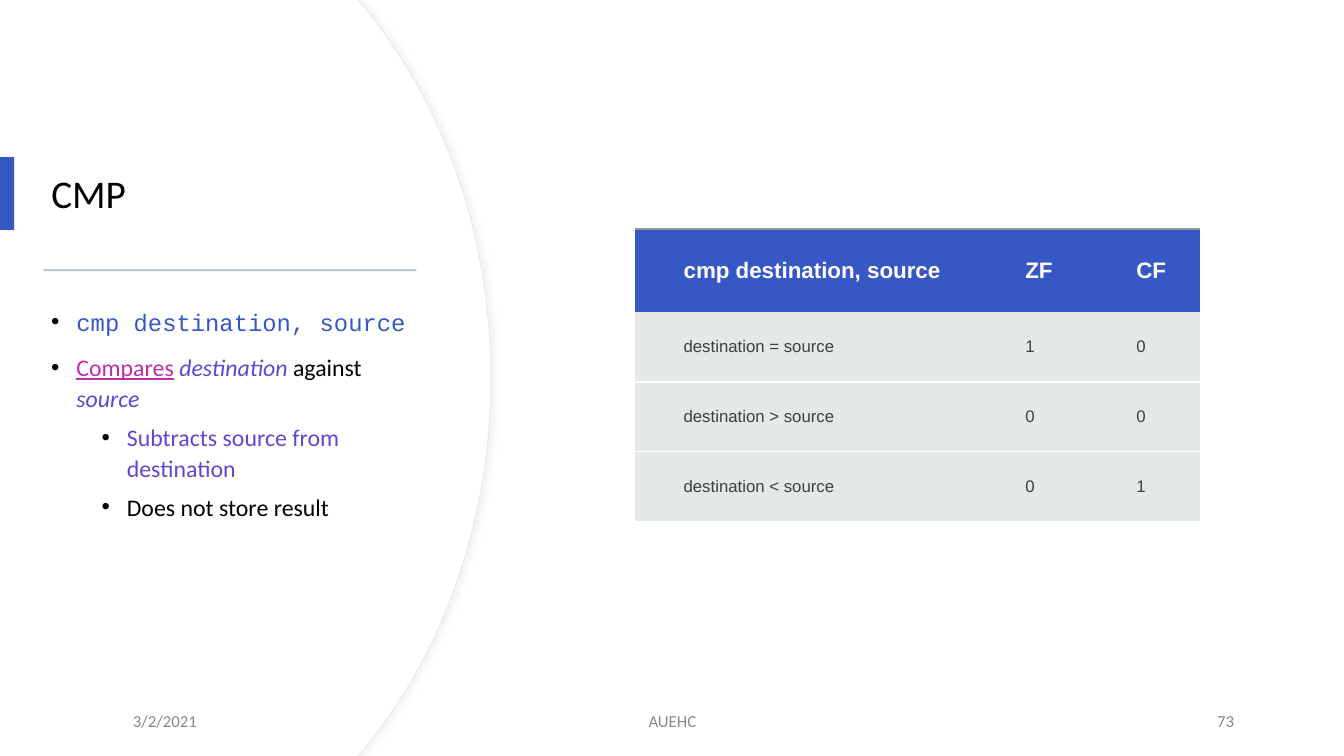
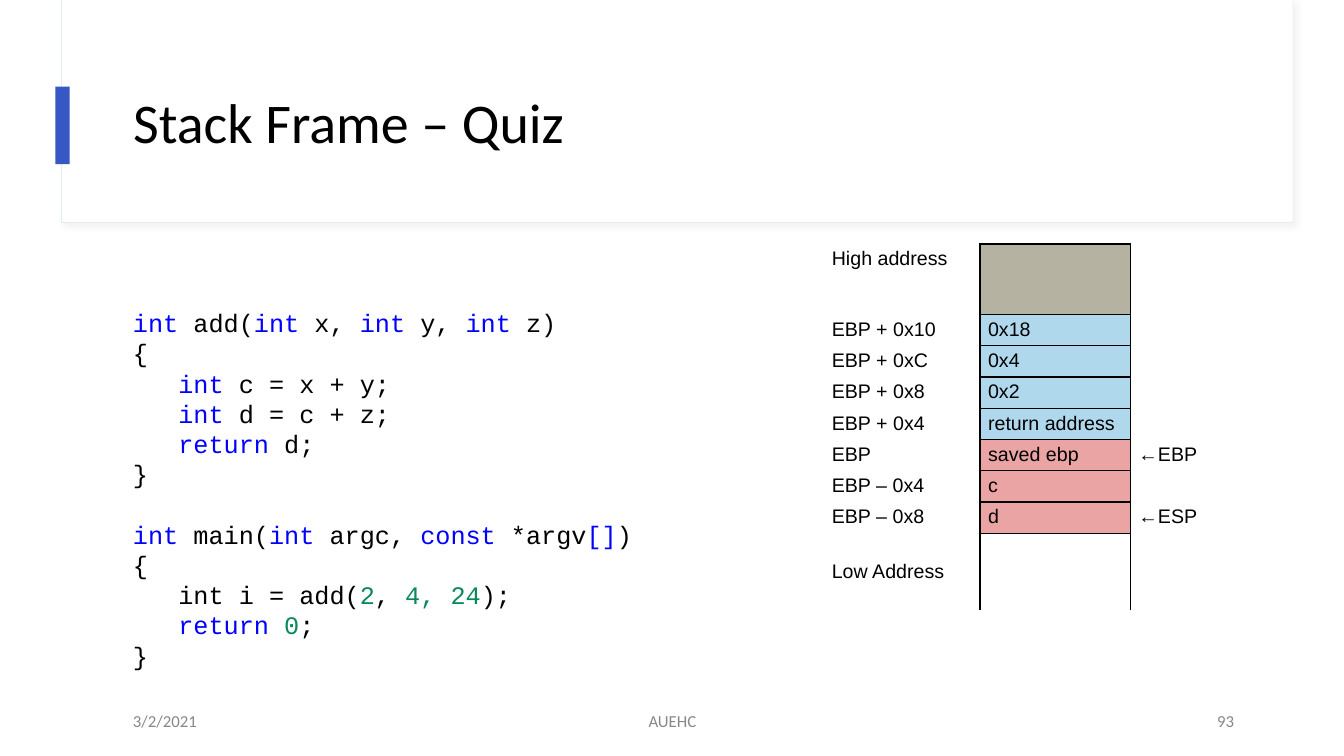
"""Build two slides on the CMP instruction and a stack frame quiz."""
from lxml import etree
from pptx import Presentation
from pptx import util as u
from pptx.dml import color
from pptx.enum import shapes, text
from pptx.oxml.ns import qn

BLACK, WHITE, BLUE = "000000", "FFFFFF", "3758C4"
VIOLET, PINK, GRAY = "6146D4", "C12CA8", "888888"
KEYWORD, NUMBER = "0000FF", "09885A"
CELL_GRAY, DARK, RULE = "E5E8E8", "3F3F3F", "8F9A9D"
STONE, SKY, ROSE = "B5B2A2", "B0D8EC", "EBA4A4"
PLAIN_TABLE = "{2D5ABB26-0587-4C30-8999-92F81FD0307C}"

CODE = [
    "|int| add(|int| x, |int| y, |int| z)",
    "{",
    "   |int| c = x + y;",
    "   |int| d = c + z;",
    "   |return| d;",
    "}",
    "|int| main(|int| argc, |const| *argv|[]|)",
    "{",
    "   int i = add(|2|, |4, 24|);",
    "   |return| |0|;",
    "}",
]
COMPARISONS = [
    ("cmp destination, source", "ZF", "CF"),
    ("destination = source", "1", "0"),
    ("destination > source", "0", "0"),
    ("destination < source", "0", "1"),
]
HIGH = ("High address", "", "", STONE)
WORDS = [
    ("EBP + 0x10", "0x18", "", SKY),
    ("EBP + 0xC", "0x4", "", SKY),
    ("EBP + 0x8", "0x2", "", SKY),
    ("EBP + 0x4", "return address", "", SKY),
    ("EBP", "saved ebp", "←EBP", ROSE),
    ("EBP – 0x4", "c", "", ROSE),
]
LOW = [("EBP – 0x8", "d", "←ESP", ROSE), ("Low Address", "", "", None)]


def rgb(value):
    """Turn a hex string into a colour."""
    return color.RGBColor.from_string(value)


def write(paragraph, words, size=17, font="Calibri", ink=BLACK, **flags):
    """Add a formatted run; flags are bold, italic or underline."""
    run = paragraph.add_run()
    run.text = words
    run.font.size, run.font.name = u.Pt(size), font
    run.font.color.rgb = rgb(ink)
    for name, value in flags.items():
        setattr(run.font, name, value)


def set_frame(frame, anchor=text.MSO_ANCHOR.TOP):
    """Give a text frame wrapping, insets and an anchor."""
    frame.word_wrap = True
    frame.auto_size = text.MSO_AUTO_SIZE.NONE
    frame.vertical_anchor = anchor
    frame.margin_left = frame.margin_right = u.Inches(0.1)
    frame.margin_top = frame.margin_bottom = u.Inches(0.05)


def next_paragraph(frame, index):
    """Return the first paragraph of a frame, or a new one."""
    return frame.add_paragraph() if index else frame.paragraphs[0]


def fill_white(shape):
    """Make a shape plain white."""
    shape.shadow.inherit = False
    shape.fill.solid()
    shape.fill.fore_color.rgb = rgb(WHITE)
    shape.line.fill.background()


def raise_panel(shape, angle):
    """Give a white panel a thin outline and a soft shadow."""
    fill_white(shape)
    shape.line.color.rgb = rgb("E3ECF1")
    shape.line.width = u.Pt(0.75)
    effects = shape._element.spPr.find(qn("a:effectLst"))
    shadow = etree.SubElement(
        effects, qn("a:outerShdw"), blurRad=str(u.Pt(4)), dist=str(u.Pt(3)),
        dir=str(angle * 60000), algn="tl", rotWithShape="0")
    tone = etree.SubElement(shadow, qn("a:srgbClr"), val="D8D8D8")
    etree.SubElement(tone, qn("a:alpha"), val="30000")


class Deck:
    """Hold the shared style and the current slide."""

    def __init__(self):
        """Start a widescreen presentation."""
        self.presentation = Presentation()
        self.presentation.slide_width = u.Inches(13.33)
        self.presentation.slide_height = u.Inches(7.5)
        self.slide = None

    def start(self):
        """Add a slide with the band across the top."""
        layout = self.presentation.slide_layouts[5]
        self.slide = self.presentation.slides.add_slide(layout)
        raise_panel(self.bar(0.61, 0, 12.21, 2.21), 45)
        self.bar(0.62, 0, 12.2, 2.2, WHITE)

    def footer(self, number):
        """Add the date, the course and the slide number."""
        align = text.PP_ALIGN
        for left, width, words, side in (
            (1.22, 3, "3/2/2021", align.LEFT),
            (4.42, 4.5, "AUEHC", align.CENTER),
            (9.34, 3, str(number), align.RIGHT),
        ):
            frame = self.box(left, 6.95, width, 0.4, text.MSO_ANCHOR.MIDDLE)
            frame.paragraphs[0].alignment = side
            write(frame.paragraphs[0], words, 12, ink=GRAY)

    def title(self, words, left, top, width, height, size):
        """Place and format the title placeholder above the panels."""
        shape = self.slide.shapes.title
        self.slide.shapes._spTree.append(shape._element)
        shape.left, shape.top = u.Inches(left), u.Inches(top)
        shape.width, shape.height = u.Inches(width), u.Inches(height)
        set_frame(shape.text_frame, text.MSO_ANCHOR.MIDDLE)
        paragraph = shape.text_frame.paragraphs[0]
        paragraph.alignment = text.PP_ALIGN.LEFT
        paragraph.line_spacing = 0.9
        write(paragraph, words, size)

    def box(self, left, top, width, height, anchor=text.MSO_ANCHOR.TOP):
        """Add a text box and return its frame."""
        place = map(u.Inches, (left, top, width, height))
        frame = self.slide.shapes.add_textbox(*place).text_frame
        set_frame(frame, anchor)
        return frame

    def bar(self, left, top, width, height, fill=BLUE):
        """Add a plain filled rectangle."""
        place = map(u.Inches, (left, top, width, height))
        shape = self.slide.shapes.add_shape(shapes.MSO_SHAPE.RECTANGLE, *place)
        fill_white(shape)
        shape.fill.fore_color.rgb = rgb(fill)
        return shape

    def arc(self, reach):
        """Add a left panel whose curved right edge ends at reach."""
        controls = ((reach - 1.25, 0.08), (reach - 0.48, 1.02),
                    (reach, 2.32), (reach, 3.75))
        weights = (1, 3, 3, 1)
        steps = 24
        upper = [(reach - 1.32, 0)]
        for step in range(steps + 1):
            t = step / steps
            parts = [w * (1 - t) ** (3 - i) * t ** i for i, w in enumerate(weights)]
            upper.append(tuple(
                sum(part * point[axis] for part, point in zip(parts, controls))
                for axis in (0, 1)))
        lower = [(x, 7.5 - y) for x, y in reversed(upper[:-1])]
        outline = [(u.Inches(x), u.Inches(y)) for x, y in upper + lower + [(0, 7.5)]]
        builder = self.slide.shapes.build_freeform(0, 0)
        builder.add_line_segments(outline, close=True)
        return builder.convert_to_shape()

    def bullets(self, items, left, top, width, height):
        """Add bulleted paragraphs from (level, runs) pairs."""
        frame = self.box(left, top, width, height)
        for index, (level, runs) in enumerate(items):
            paragraph = next_paragraph(frame, index)
            paragraph.level = level
            paragraph.line_spacing = 1.1
            if index:
                paragraph.space_before = u.Pt(5 if level else 10)
            properties = paragraph._p.get_or_add_pPr()
            properties.set("marL", str(u.Inches(0.25 + 0.5 * level)))
            properties.set("indent", str(u.Inches(-0.25)))
            tone = etree.SubElement(properties, qn("a:buClr"))
            etree.SubElement(tone, qn("a:srgbClr"), val=BLACK)
            etree.SubElement(properties, qn("a:buFont"), typeface="Arial")
            etree.SubElement(properties, qn("a:buChar"), char="•")
            for words, style in runs:
                write(paragraph, words, **style)

    def code(self, lines, left, top, width, height):
        """Add code in which every second piece between bars is coloured."""
        frame = self.box(left, top, width, height)
        for index, line in enumerate(lines):
            paragraph = next_paragraph(frame, index)
            if index and lines[index - 1] == "}":
                paragraph.space_before = u.Pt(21.6)
            for place, piece in enumerate(line.split("|")):
                accent = NUMBER if piece[:1].isdigit() else KEYWORD
                if piece:
                    write(paragraph, piece, 18, "Courier New",
                          accent if place % 2 else BLACK)

    def table(self, left, top, widths, heights):
        """Add an unstyled table with the given column and row sizes."""
        place = map(u.Inches, (left, top, sum(widths), sum(heights)))
        table = self.slide.shapes.add_table(len(heights), len(widths), *place).table
        table.first_row = table.horz_banding = False
        table._tbl.tblPr.find(qn("a:tableStyleId")).text = PLAIN_TABLE
        for column, width in zip(table.columns, widths):
            column.width = u.Inches(width)
        for row, height in zip(table.rows, heights):
            row.height = u.Inches(height)
        return table

    def cell(self, cell, words, insets, fill=None, borders=None, **style):
        """Fill one cell; borders map sides L, R, T, B to (colour, points)."""
        sides = ("margin_left", "margin_top", "margin_right", "margin_bottom")
        for side, inset in zip(sides, insets):
            setattr(cell, side, u.Inches(inset))
        properties = cell._tc.get_or_add_tcPr()
        for side, (ink, points) in (borders or {}).items():
            line = etree.SubElement(properties, qn("a:ln" + side), w=str(u.Pt(points)))
            solid = etree.SubElement(line, qn("a:solidFill"))
            etree.SubElement(solid, qn("a:srgbClr"), val=ink)
        if fill:
            cell.fill.solid()
            cell.fill.fore_color.rgb = rgb(fill)
        else:
            cell.fill.background()
        paragraph = cell.text_frame.paragraphs[0]
        if words:
            write(paragraph, words, font="Arial", **style)
        else:
            size = str(style["size"] * 100)
            etree.SubElement(paragraph._p, qn("a:endParaRPr"), sz=size)

    def stack(self, top, rows, heights):
        """Add a piece of the stack with labels and pointers beside it."""
        table = self.table(8.17, top, (1.55, 1.49, 1.55), heights)
        for r, (label, value, pointer, fill) in enumerate(rows):
            box_sides = "LRTB" if fill else "LRT"
            for c, (words, sides) in enumerate(
                    ((label, ""), (value, box_sides), (pointer, "L"))):
                self.cell(table.cell(r, c), words, (0.08, 0.04, 0.08, 0.04),
                          fill if c == 1 else None,
                          dict.fromkeys(sides, (BLACK, 1)), size=14)
        return table


def compare_slide(deck):
    """Build the CMP slide."""
    deck.start()
    deck.bar(0, 0, 13.33, 7.5, WHITE)
    raise_panel(deck.arc(4.87), 0)
    fill_white(deck.arc(4.86))
    deck.title("CMP", 0.41, 1.27, 3.76, 1.35, 28)
    deck.bar(0, 1.56, 0.14, 0.72)
    deck.bar(0.43, 2.67, 3.7, 0.02, "BDC9DA")
    term = {"ink": VIOLET, "italic": True}
    deck.bullets([
        (0, [("cmp destination, source", {"font": "Courier New", "ink": BLUE})]),
        (0, [("Compares", {"ink": PINK, "underline": True}), (" ", {}),
             ("destination", term), (" against ", {}), ("source", term)]),
        (1, [("Subtracts source from destination", {"ink": VIOLET})]),
        (1, [("Does not store result", {})]),
    ], 0.41, 2.97, 3.76, 3.51)
    table = deck.table(6.3, 2.27, (3.39, 1.1, 1.11), (0.83, 0.69, 0.69, 0.69))
    for r, row in enumerate(COMPARISONS):
        borders = {} if r == 1 else {"T": (WHITE if r else RULE, 1.5)}
        if r in (1, 2):
            borders["B"] = (WHITE, 1.5)
        inset = 0.25 if r else 0.29
        style = (dict(fill=CELL_GRAY, size=12, ink=DARK) if r
                 else dict(fill=BLUE, size=16, ink=WHITE, bold=True))
        for c, words in enumerate(row):
            deck.cell(table.cell(r, c), words, (0.48, inset, inset, inset),
                      borders=borders, **style)
    deck.footer(73)


def stack_slide(deck):
    """Build the stack frame quiz slide."""
    deck.start()
    deck.bar(0.55, 0.86, 0.14, 0.77)
    deck.title("Stack Frame – Quiz", 1.22, 0.6, 11.12, 1.29, 40)
    deck.code(CODE, 1.22, 3, 6.67, 3.74)
    deck.stack(2.42, [HIGH], [0.7])
    for index, row in enumerate(WORDS):
        deck.stack(3.12 + 0.31 * index, [row], [0.31])
    low = deck.stack(4.98, LOW, [0.31, 0.76])
    low.cell(1, 0).vertical_anchor = text.MSO_ANCHOR.MIDDLE
    deck.footer(93)


def main():
    """Build and save the presentation."""
    deck = Deck()
    compare_slide(deck)
    stack_slide(deck)
    deck.presentation.save("out.pptx")


if __name__ == "__main__":
    main()
